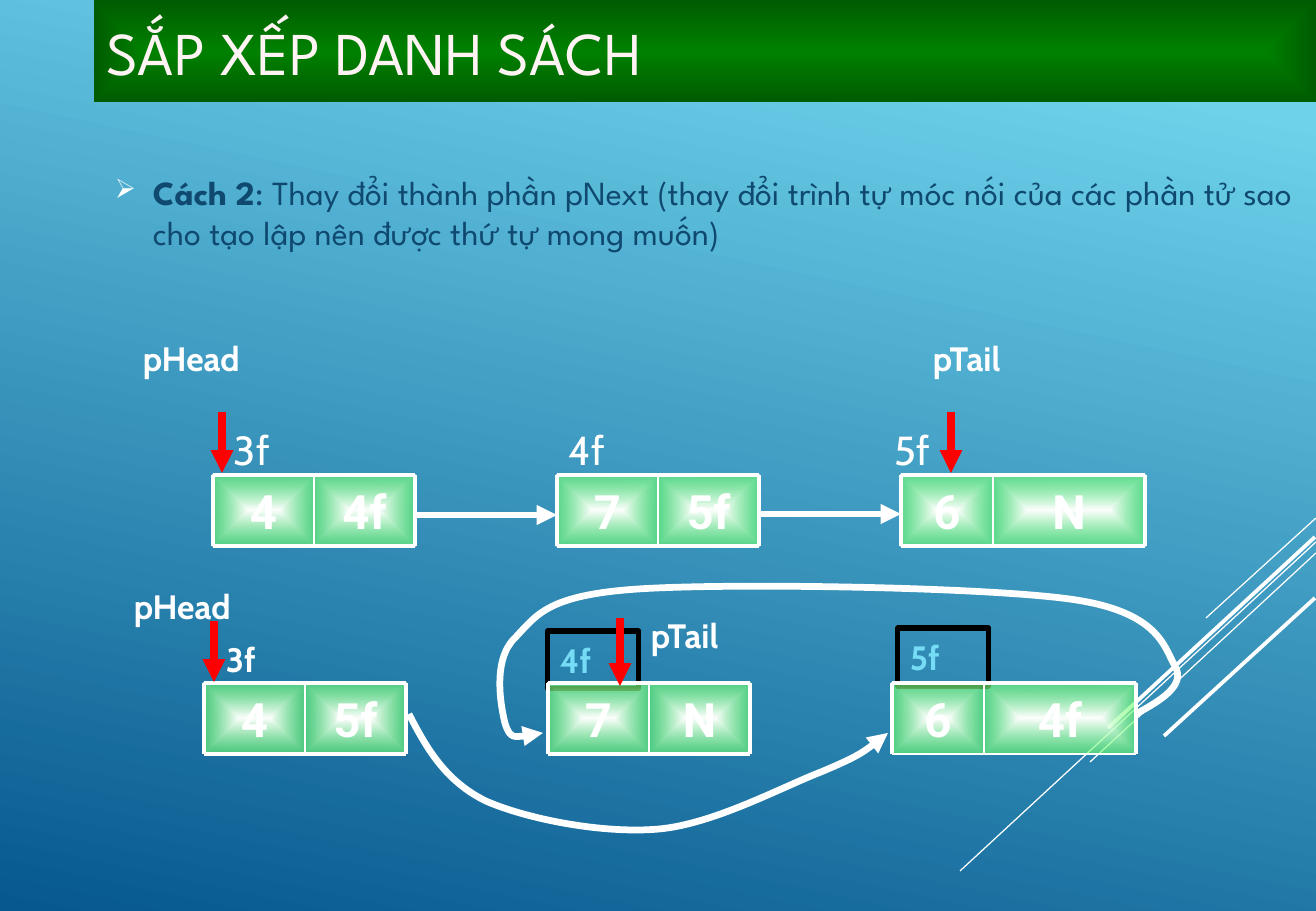
from lxml import etree
from pptx import Presentation
from pptx import util as u
from pptx.dml.color import RGBColor
from pptx.enum import shapes, text
from pptx.oxml import ns

PX = 7526  # EMU per px
WIDTH, HEIGHT = 1316, 911
COLORS = {
    "white": "FFFFFF", "title": "FFF3F3", "body": "0F496F", "cyan": "76DBF4",
    "black": "000000", "red": "FF0000", "mint": "69FF69",
    "green": "008000", "dark_green": "005C00", "sky": "6ED2EB", "sea": "06588E",
}


def color(name):
    return RGBColor.from_string(COLORS[name])


def add_xml(parent, tag, **attributes):
    return etree.SubElement(parent, ns.qn(tag), attributes)


def write(para, content, size=20, font="Cabin", fill="white", bold=False):
    span = para.add_run()
    span.text = content
    span.font.size = u.Pt(size)
    span.font.name = font
    span.font.bold = bold
    span.font.color.rgb = color(fill)


class Page:
    def __init__(self):
        self.deck = Presentation()
        self.deck.slide_width, self.deck.slide_height = WIDTH * PX, HEIGHT * PX
        self.page = self.deck.slides.add_slide(self.deck.slide_layouts[5])

    def set_gradient(self, fill, stops):
        fill.gradient()
        for stop, (position, name) in zip(fill.gradient_stops, stops):
            stop.position = position
            stop.color.rgb = color(name)

    def set_center_gradient(self, shape, inner, outer, opacity=100):
        """Gradient from the centre of the shape out to its edges."""
        self.set_gradient(shape.fill, [(0, inner), (1, outer)])
        gradient = shape._element.spPr.find(ns.qn("a:gradFill"))
        gradient.remove(gradient.find(ns.qn("a:lin")))
        path = add_xml(gradient, "a:path", path="shape")
        add_xml(path, "a:fillToRect", l="50000", t="50000", r="50000", b="50000")
        if opacity < 100:
            outer_color = gradient.findall(".//" + ns.qn("a:srgbClr"))[-1]
            add_xml(outer_color, "a:alpha", val=str(opacity * 1000))

    def background(self):
        fill = self.page.background.fill
        self.set_gradient(fill, [(0.1, "sky"), (1, "sea")])
        fill.gradient_angle = 258

    def title(self, content, left, top, width, height):
        box = self.page.shapes.title
        box.left, box.top, box.width, box.height = (
            v * PX for v in (left, top, width, height))
        self.set_center_gradient(box, "green", "dark_green")
        frame = box.text_frame
        frame.auto_size = text.MSO_AUTO_SIZE.NONE
        frame.vertical_anchor = text.MSO_ANCHOR.MIDDLE
        para = frame.paragraphs[0]
        para.alignment = text.PP_ALIGN.LEFT
        write(para, content, size=36, font="League Spartan", fill="title")

    def text_box(self, left, top, width, height):
        box = self.page.shapes.add_textbox(
            left * PX, top * PX, width * PX, height * PX)
        box.text_frame.word_wrap = True
        return box.text_frame

    def label(self, content, left, top, width=91, height=52, **style):
        frame = self.text_box(left, top, width, height)
        write(frame.paragraphs[0], content, **style)

    def bullet(self, spans, left, top, width, height):
        frame = self.text_box(left, top, width, height)
        frame.vertical_anchor = text.MSO_ANCHOR.MIDDLE
        para = frame.paragraphs[0]
        props = para._p.get_or_add_pPr()
        props.set("marL", str(38 * PX))
        props.set("indent", str(-38 * PX))
        add_xml(add_xml(props, "a:buClr"), "a:srgbClr", val=COLORS["white"])
        add_xml(props, "a:buSzPct", val="80000")
        add_xml(props, "a:buChar", char="➢")
        para.space_after = u.Pt(6)
        for content, bold in spans:
            write(para, content, font="League Spartan", fill="body", bold=bold)

    def rectangle(self, content, left, top, width, height, line, weight, **style):
        box = self.page.shapes.add_shape(
            shapes.MSO_SHAPE.RECTANGLE, left * PX, top * PX, width * PX, height * PX)
        box.shadow.inherit = False
        box.fill.background()
        box.line.color.rgb = color(line)
        box.line.width = u.Pt(weight)
        box.text_frame.vertical_anchor = text.MSO_ANCHOR.MIDDLE
        write(box.text_frame.paragraphs[0], content, **style)
        return box

    def ghost(self, content, left, top):
        box = self.rectangle(content, left, top, 91, 58, "black", 3,
                             fill="cyan", bold=True)
        box.text_frame.paragraphs[0].alignment = text.PP_ALIGN.LEFT

    def stroke(self, shape, fill, weight, arrow):
        shape.line.color.rgb = color(fill)
        shape.line.width = u.Pt(weight)
        if arrow:
            add_xml(shape.line._get_or_add_ln(), "a:tailEnd", type="triangle")

    def line(self, x1, y1, x2, y2, fill="white", weight=2.25, arrow=False):
        link = self.page.shapes.add_connector(
            shapes.MSO_CONNECTOR.STRAIGHT, x1 * PX, y1 * PX, x2 * PX, y2 * PX)
        self.stroke(link, fill, weight, arrow)
        add_xml(link._element.spPr, "a:effectLst")

    def curve(self, start, points):
        """Arrow along cubic Bézier pieces, three points to each piece."""
        builder = self.page.shapes.build_freeform(*start, scale=PX)
        builder.add_line_segments(points, close=False)
        shape = builder.convert_to_shape()
        shape.shadow.inherit = False
        shape.fill.background()
        self.stroke(shape, "white", 4, True)
        outline = shape._element.spPr.find(".//" + ns.qn("a:path"))
        steps = outline.findall(ns.qn("a:lnTo"))
        for first in range(0, len(steps), 3):
            bezier = add_xml(outline, "a:cubicBezTo")
            for step in steps[first:first + 3]:
                bezier.append(step[0])
                outline.remove(step)

    def node(self, data, link, left, top, widths, base=2.25):
        height = 71
        middle, right, bottom = left + widths[0], left + sum(widths), top + height
        for content, x, width in zip((data, link), (left, middle), widths):
            cell = self.rectangle(content, x, top, width, height, "white", 0.75,
                                  size=28, font="Roboto", bold=True)
            cell.text_frame.paragraphs[0].alignment = text.PP_ALIGN.CENTER
            self.set_center_gradient(cell, "white", "mint", 60)
        self.line(left, top, right, top)
        self.line(left, bottom, right, bottom, weight=base)
        for x, weight in ((left, 2.25), (middle, 1), (right, 2.25)):
            self.line(x, top, x, bottom, weight=weight)


def main():
    slide = Page()
    slide.background()

    # Slanted lines in the corner
    for x1, y1, x2, y2, weight in (
            (1316, 518, 1206, 618, 0.75), (1316, 542, 960, 871, 0.75),
            (1316, 553, 1090, 762, 0.75), (1315, 537, 1108, 728, 2.25),
            (1315, 598, 1164, 736, 2.25)):
        slide.line(x1, y1, x2, y2, weight=weight)

    # Title and explanation
    slide.title("SẮP XẾP DANH SÁCH", 94, 0, 1222, 102)
    slide.bullet([("Cách 2", True),
                  (": Thay đổi thành phần pNext (thay đổi trình tự móc nối của các "
                   "phần tử sao cho tạo lập nên được thứ tự mong muốn)", False)],
                 103, 102, 1213, 220)

    # Old addresses, behind the sorted list
    slide.ghost("4f", 548, 631)
    slide.ghost("5f", 898, 628)

    # List before (top row) and after sorting (bottom row)
    widths = ((101, 101), (101, 101), (92, 152))
    rows = ((213, 475, (("4", "4f"), ("7", "5f"), ("6", "N")), 2.25),
            (204, 683, (("4", "5f"), ("7", "N"), ("6", "4f")), 0.75))
    for left, top, values, last_base in rows:
        for index, (data, link) in enumerate(values):
            slide.node(data, link, left + 344 * index, top, widths[index],
                       last_base if index == 2 else 2.25)

    # Addresses and pointer names
    for content, left in (("3f", 222), ("4f", 557), ("5f", 883)):
        slide.label(content, left, 419, height=61, size=24)
    slide.label("3f", 214, 633, bold=True)
    for content, left, top in (("pHead", 131, 332), ("pTail", 921, 332),
                               ("pHead", 122, 580), ("pTail", 639, 609)):
        slide.label(content, left, top, width=142, bold=True)

    # Pointer arrows
    for x, y1, y2 in ((222, 412, 473), (951, 412, 473),
                      (214, 621, 682), (620, 618, 686)):
        slide.line(x, y1, x, y2, fill="red", weight=4.5, arrow=True)

    # Links between nodes
    slide.line(415, 515, 557, 515, weight=4, arrow=True)
    slide.line(759, 514, 901, 514, weight=4, arrow=True)
    slide.curve((409, 714), [
        (426, 747), (445, 781), (486, 801), (527, 819), (603, 834), (659, 829),
        (714, 824), (782, 787), (821, 772), (859, 756), (874, 745), (888, 733)])
    slide.curve((1136, 714), [
        (1162, 700), (1186, 685), (1175, 666), (1164, 647), (1159, 611), (1069, 599),
        (981, 587), (731, 583), (639, 589), (547, 595), (537, 615), (515, 638),
        (492, 660), (501, 707), (505, 723), (510, 740), (526, 737), (543, 733)])

    slide.deck.save("out.pptx")


if __name__ == "__main__":
    main()
